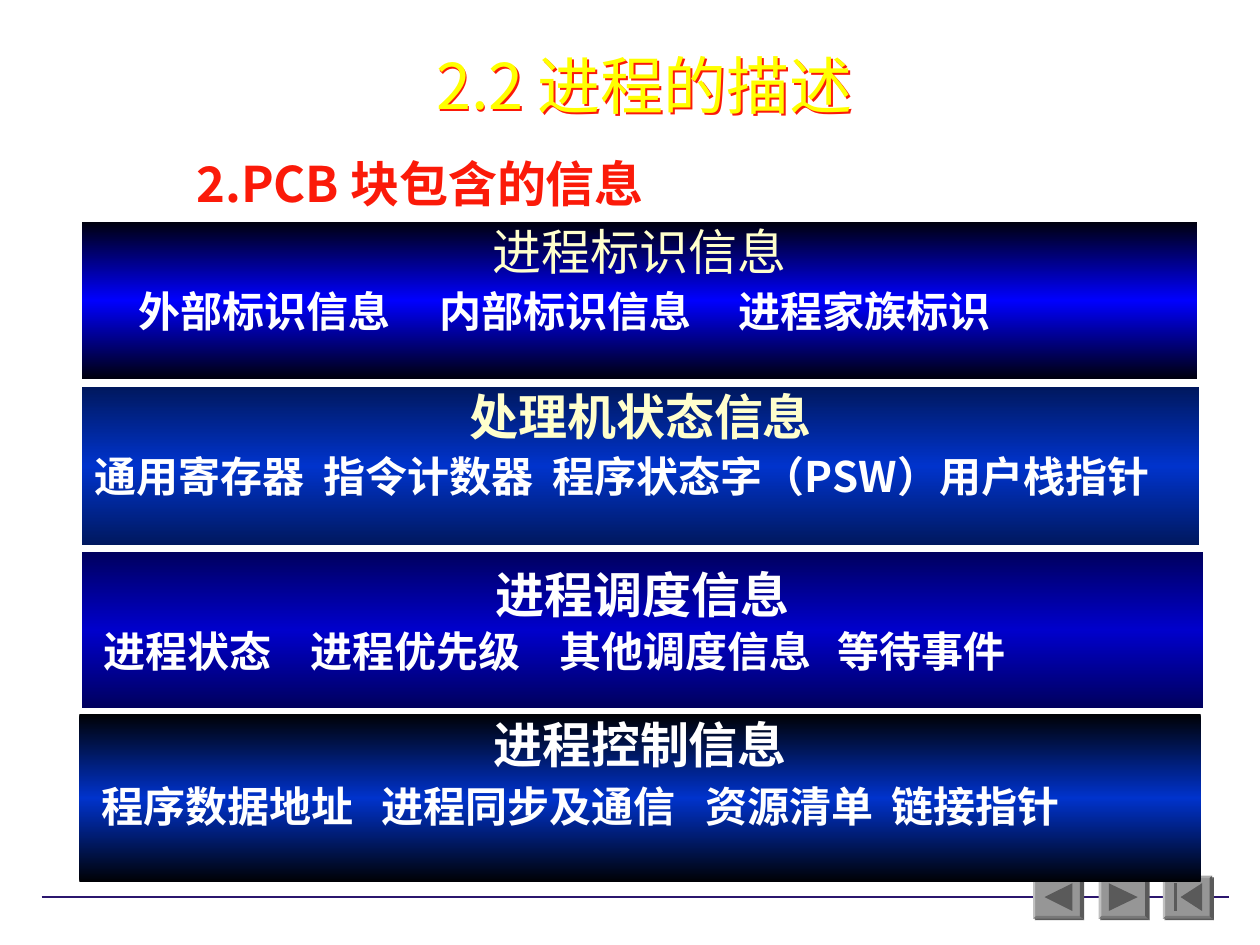
from copy import deepcopy
from lxml import etree
from pptx import Presentation
from pptx import util as u
from pptx.dml.color import RGBColor
from pptx.enum import shapes, text
from pptx.oxml.ns import qn

COLORS = {
    "title": "FFFF00", "red": "FB1A09", "cream": "FFFFCC", "white": "FFFFFF",
    "rule": "2B166E", "button": "969696", "arrow": "5A5A5A",
}
FACE = "Noto Sans CJK SC"

deck = Presentation()
deck.slide_width, deck.slide_height = u.Inches(10), u.Inches(7.5)
COL, ROW = deck.slide_width / 100, deck.slide_height / 75
slide = deck.slides.add_slide(deck.slide_layouts[5])


def write(paragraph, words, color, size, bold=True, face=FACE):
    run = paragraph.add_run()
    run.text = words
    formats = {"size": u.Pt(size), "bold": bold, "name": face}
    for key, value in formats.items():
        setattr(run.font, key, value)
    run.font.color.rgb = RGBColor.from_string(COLORS[color])
    latin = run.font._element.find(qn("a:latin"))
    latin.addnext(latin.makeelement(qn("a:ea"), {"typeface": face}))


def cast_shadow(shape, color):
    shape.shadow.inherit = False
    effects = shape._element.spPr.find(qn("a:effectLst"))
    outer = etree.SubElement(effects, qn("a:outerShdw"), blurRad="0",
                             dist=str(u.Pt(1.4)), dir="2700000", algn="ctr", rotWithShape="0")
    etree.SubElement(outer, qn("a:srgbClr"), val=COLORS[color])


rule = slide.shapes.add_connector(
    shapes.MSO_CONNECTOR.STRAIGHT, int(3.3 * COL), int(71.2 * ROW), int(97.5 * COL), int(71.2 * ROW))
rule.line.color.rgb = RGBColor.from_string(COLORS["rule"])
rule.line.width = u.Pt(0.75)
etree.SubElement(rule._element.spPr, qn("a:effectLst"))

back = [(3.1, 0.6), (0.9, 1.7), (3.1, 2.8)]
forward = [(0.8, 0.6), (3.1, 1.7), (0.8, 2.8)]
to_start = [(3.1, 0.6), (1.4, 1.7), (3.1, 2.8)]
start_bar = [(0.9, 0.6), (1.1, 0.6), (1.1, 2.8), (0.9, 2.8)]
for left, signs in [(82, [back]), (87.2, [forward]), (92.3, [to_start, start_bar])]:
    button = slide.shapes.add_shape(
        shapes.MSO_SHAPE.BEVEL, int(left * COL), int(69.5 * ROW), int(3.9 * COL), int(3.4 * ROW))
    button.adjustments[0] = 0.06
    cast_shadow(button, "arrow")
    parts = [(button, "button")]
    for outline in signs:
        points = [((left + x) * COL, (69.5 + y) * ROW) for x, y in outline]
        pen = slide.shapes.build_freeform(*points[0])
        pen.add_line_segments(points[1:], close=True)
        sign = pen.convert_to_shape()
        sign.shadow.inherit = False
        parts.append((sign, "arrow"))
    for part, color in parts:
        part.fill.solid()
        part.fill.fore_color.rgb = RGBColor.from_string(COLORS[color])
        part.line.fill.background()

groups = [
    (6.5, 17.6, 88.5, 12.5, "00000D", "0000FF", 0, "进程标识信息", "cream", False, 3,
     "\t外部标识信息\t内部标识信息\t进程家族标识", (3.5, 27.4, 51.1)),
    (6.5, 30.7, 88.7, 12.6, "00185E", "0033CC", 0, "处理机状态信息", "cream", True, 3,
     "通用寄存器\t指令计数器\t程序状态字（PSW）用户栈指针", (18.2, 36.4)),
    (6.5, 43.8, 89, 12.4, "00005E", "0000CC", 1, "进程调度信息", "white", True, 1,
     "\t进程状态\t进程优先级\t其他调度信息\t等待事件", (0.7, 17.2, 36.9, 59)),
    (6.3, 56.7, 89, 13.3, "000105", "0033CC", 0, "进程控制信息", "white", True, 4,
     "\t程序数据地址\t进程同步及通信\t资源清单\t链接指针", (0.8, 23, 48.7, 63.5)),
]
for (left, top, width, height, edge, middle, inset, heading, color, bold, gap,
     details, stops) in groups:
    band = slide.shapes.add_shape(
        shapes.MSO_SHAPE.RECTANGLE, int(left * COL), int(top * ROW), int(width * COL), int(height * ROW))
    band.shadow.inherit = False
    band.line.fill.background()
    band.fill.gradient()
    band.fill.gradient_angle = 90
    shades = band._element.spPr.find(".//" + qn("a:gsLst"))
    while len(shades) < 3:
        shades.append(deepcopy(shades[0]))
    for stop, shade, position in zip(band.fill.gradient_stops, (edge, middle, edge), (0, 0.5, 1)):
        stop.color.rgb = RGBColor.from_string(shade)
        stop.position = position
    frame = band.text_frame
    formats = {"word_wrap": True, "vertical_anchor": text.MSO_ANCHOR.TOP,
               "margin_top": int(inset * ROW), "margin_bottom": 0}
    for key, value in formats.items():
        setattr(frame, key, value)
    name = frame.paragraphs[0]
    name.alignment = text.PP_ALIGN.CENTER
    write(name, heading, color, 28, bold)
    contents = frame.add_paragraph()
    tabs = etree.SubElement(contents._p.get_or_add_pPr(), qn("a:tabLst"))
    for stop in stops:
        etree.SubElement(tabs, qn("a:tab"), pos=str(int(stop * COL)), algn="l")
    contents.alignment = text.PP_ALIGN.LEFT
    contents.space_before = u.Pt(gap)
    write(contents, details, "white", 24)

topic = slide.shapes.add_textbox(int(14.6 * COL), int(11.5 * ROW), int(41.9 * COL), int(6 * ROW))
section = slide.shapes.title
bounds = {"left": 16.1 * COL, "top": 3.2 * ROW, "width": 70.1 * COL, "height": 7 * ROW}
for key, value in bounds.items():
    setattr(section, key, int(value))
section.fill.background()
cast_shadow(section, "red")
for label in (topic, section):
    formats = {"word_wrap": True, "auto_size": text.MSO_AUTO_SIZE.NONE,
               "vertical_anchor": text.MSO_ANCHOR.MIDDLE}
    for key, value in formats.items():
        setattr(label.text_frame, key, value)
section.text_frame.paragraphs[0].alignment = text.PP_ALIGN.CENTER
write(topic.text_frame.paragraphs[0], "2.PCB 块包含的信息", "red", 28)
write(section.text_frame.paragraphs[0], "2.2 进程的描述", "title", 36, False, "Noto Sans CJK JP")

deck.save("out.pptx")
